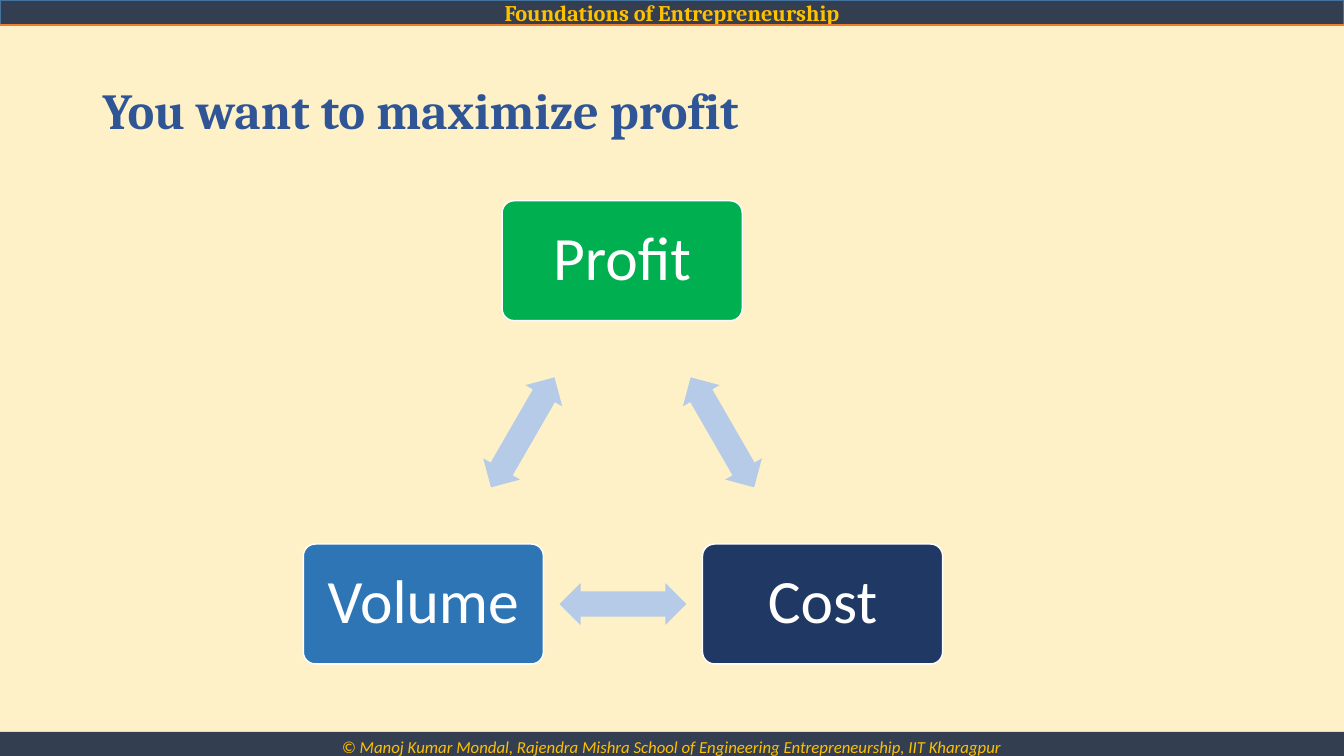
from pptx import Presentation
from pptx.dml.color import RGBColor
from pptx.enum.shapes import MSO_CONNECTOR, MSO_SHAPE
from pptx.enum.text import MSO_ANCHOR, MSO_AUTO_SIZE, PP_ALIGN
from pptx.oxml.xmlchemy import OxmlElement
from pptx.util import Cm, Pt

CREAM = RGBColor(0xFF, 0xF1, 0xC7)
SLATE = RGBColor(0x33, 0x3F, 0x50)
STEEL = RGBColor(0x43, 0x73, 0x9E)
GOLD = RGBColor(0xFF, 0xC0, 0x00)
ORANGE = RGBColor(0xED, 0x7D, 0x31)
TITLE_BLUE = RGBColor(0x2F, 0x55, 0x97)
GREEN = RGBColor(0x00, 0xB0, 0x50)
NAVY = RGBColor(0x20, 0x38, 0x64)
BLUE = RGBColor(0x2E, 0x75, 0xB6)
PALE_BLUE = RGBColor(0xB5, 0xCB, 0xE7)
WHITE = RGBColor(0xFF, 0xFF, 0xFF)


def add_filled(kind, x, y, w, h, fill, line=None):
    sp = s.shapes.add_shape(kind, Cm(x), Cm(y), Cm(w), Cm(h))
    sp.shadow.inherit = False
    sp.fill.solid()
    sp.fill.fore_color.rgb = fill
    if line is None:
        sp.line.fill.background()
    else:
        sp.line.color.rgb = line
        sp.line.width = Pt(1)
    return sp


def set_text(sp, text, font, size, color, align=PP_ALIGN.CENTER):
    tf = sp.text_frame
    tf.text = text
    tf.word_wrap = True
    tf.vertical_anchor = MSO_ANCHOR.MIDDLE
    p = tf.paragraphs[0]
    p.alignment = align
    r = p.runs[0]
    r.font.name = font
    r.font.size = Pt(size)
    r.font.color.rgb = color
    return r


prs = Presentation()
prs.slide_width, prs.slide_height = Cm(33.87), Cm(19.05)
s = prs.slides.add_slide(prs.slide_layouts[5])
s.background.fill.solid()
s.background.fill.fore_color.rgb = CREAM

header = add_filled(MSO_SHAPE.RECTANGLE, 0, 0, 33.87, 0.64, SLATE, STEEL)
r = set_text(header, "Foundations of Entrepreneurship", "Cambria", 16, GOLD)
r.font.bold = True

rule = s.shapes.add_connector(MSO_CONNECTOR.STRAIGHT, 0, Cm(0.64), Cm(33.87), Cm(0.64))
rule.line.color.rgb = ORANGE
rule.line.width = Pt(1.5)
rule._element.spPr.append(OxmlElement("a:effectLst"))

footer = add_filled(MSO_SHAPE.RECTANGLE, 0, 18.44, 33.87, 0.77, SLATE)
r = set_text(
    footer,
    "© Manoj Kumar Mondal, Rajendra Mishra School of Engineering Entrepreneurship, IIT Kharagpur",
    "Calibri", 12, GOLD)
r.font.italic = True
footer.text_frame.vertical_anchor = MSO_ANCHOR.TOP
footer.text_frame.auto_size = MSO_AUTO_SIZE.SHAPE_TO_FIT_TEXT

title = s.shapes.title
title.left, title.top, title.width, title.height = Cm(2.33), Cm(1.01), Cm(29.21), Cm(3.68)
r = set_text(title, "You want to maximize profit", "Cambria", 36, TITLE_BLUE, PP_ALIGN.LEFT)
r.font.bold = True
title.text_frame.auto_size = MSO_AUTO_SIZE.NONE
title.text_frame.paragraphs[0].line_spacing = 0.9

BOX_W, BOX_H = 6.05, 3.02
ARROW_W, ARROW_H = 3.2, 1.07
nodes = [
    ("Profit", 15.68, 6.57, GREEN),
    ("Cost", 20.73, 15.22, NAVY),
    ("Volume", 10.67, 15.22, BLUE),
]
for i, (label, x, y, fill) in enumerate(nodes):
    box = add_filled(MSO_SHAPE.ROUNDED_RECTANGLE, x - BOX_W / 2, y - BOX_H / 2,
                     BOX_W, BOX_H, fill, WHITE)
    box.adjustments[0] = 0.1
    set_text(box, label, "Calibri", 44, WHITE)
    box.text_frame.paragraphs[0].line_spacing = 0.9

    next_x, next_y = nodes[(i + 1) % 3][1:3]
    arrow = add_filled(MSO_SHAPE.LEFT_RIGHT_ARROW, (x + next_x - ARROW_W) / 2,
                       (y + next_y - ARROW_H) / 2, ARROW_W, ARROW_H, PALE_BLUE)
    arrow.adjustments[0] = 0.6
    arrow.adjustments[1] = 0.5
    arrow.rotation = 60 + 120 * i

prs.save("out.pptx")
